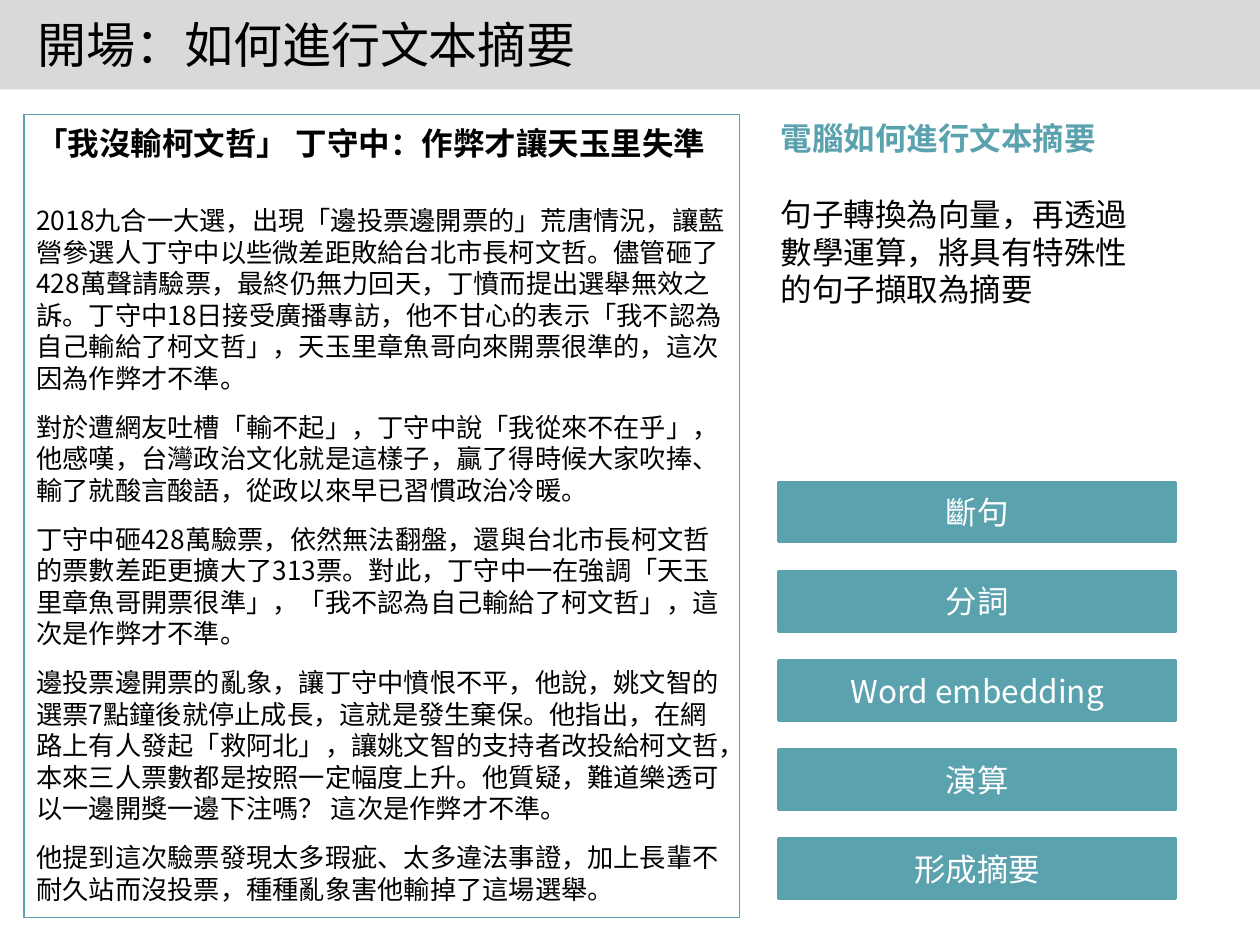
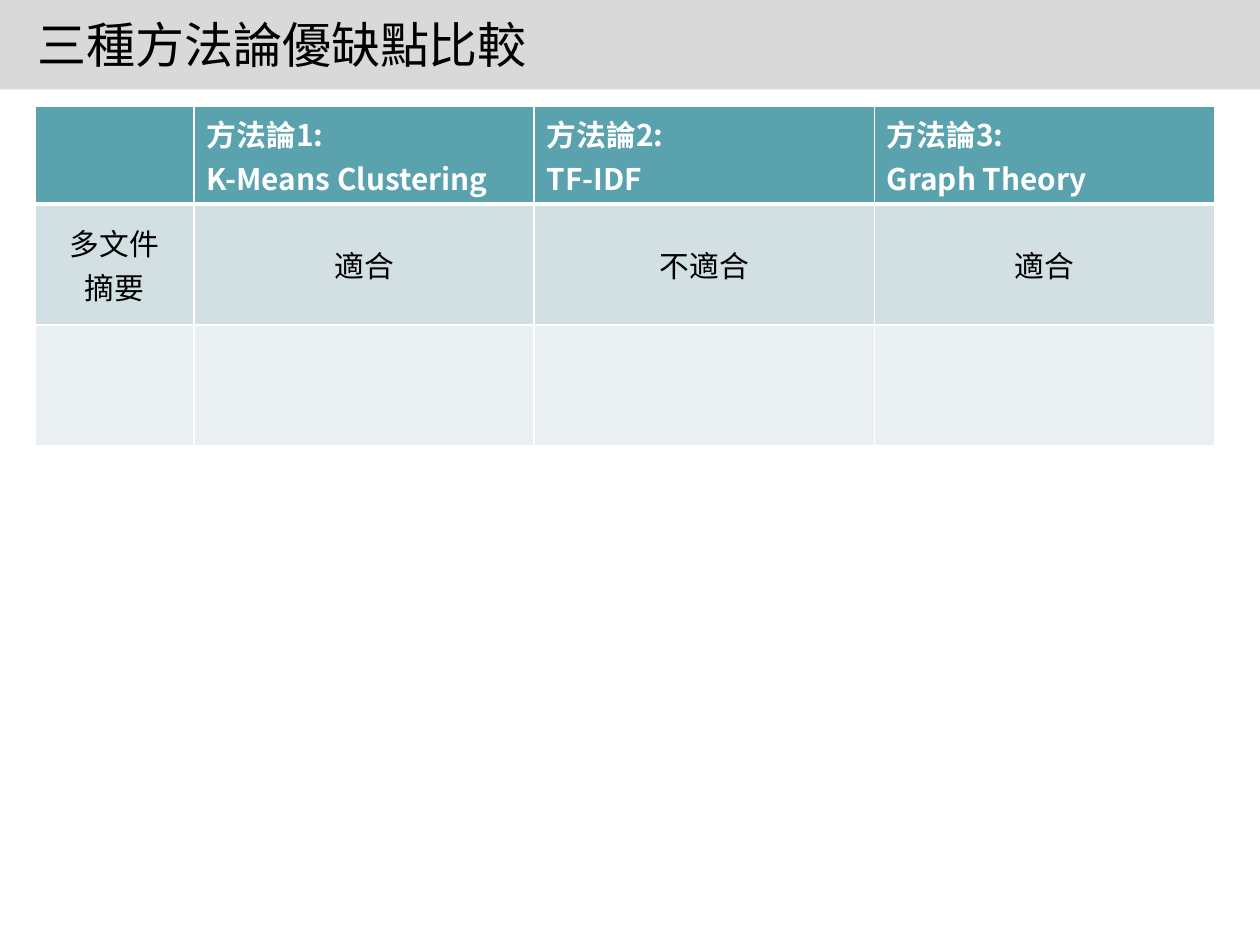
from lxml import etree
from pptx import Presentation
from pptx.dml.color import RGBColor
from pptx.enum import shapes, text
from pptx.oxml import ns
from pptx.util import Inches, Pt

FONT = "Noto Sans CJK SC"
TEAL = RGBColor(0x5A, 0xA2, 0xAE)
BAND_GRAY = RGBColor(0xD9, 0xD9, 0xD9)
ROW_DARK = RGBColor(0xD2, 0xE0, 0xE3)
ROW_LIGHT = RGBColor(0xEA, 0xF0, 0xF2)
BLACK = RGBColor(0, 0, 0)
WHITE = RGBColor(0xFF, 0xFF, 0xFF)

HEADLINE = "「我沒輸柯文哲」 丁守中：作弊才讓天玉里失準"
ARTICLE = [
    "2018九合一大選，出現「邊投票邊開票的」荒唐情況，讓藍營參選人丁守中以些微差距敗給台北市長柯文哲。"
    "儘管砸了428萬聲請驗票，最終仍無力回天，丁憤而提出選舉無效之訴。丁守中18日接受廣播專訪，"
    "他不甘心的表示「我不認為自己輸給了柯文哲」，天玉里章魚哥向來開票很準的，這次因為作弊才不準。",
    "對於遭網友吐槽「輸不起」，丁守中說「我從來不在乎」，他感嘆，台灣政治文化就是這樣子，"
    "贏了得時候大家吹捧、輸了就酸言酸語，從政以來早已習慣政治冷暖。",
    "丁守中砸428萬驗票，依然無法翻盤，還與台北市長柯文哲的票數差距更擴大了313票。"
    "對此，丁守中一在強調「天玉里章魚哥開票很準」，「我不認為自己輸給了柯文哲」，這次是作弊才不準。",
    "邊投票邊開票的亂象，讓丁守中憤恨不平，他說，姚文智的選票7點鐘後就停止成長，這就是發生棄保。"
    "他指出，在網路上有人發起「救阿北」，讓姚文智的支持者改投給柯文哲，本來三人票數都是按照一定幅度上升。"
    "他質疑，難道樂透可以一邊開獎一邊下注嗎？ 這次是作弊才不準。",
    "他提到這次驗票發現太多瑕疵、太多違法事證，加上長輩不耐久站而沒投票，種種亂象害他輸掉了這場選舉。",
]
STEPS = ["斷句", "分詞", "Word embedding", "演算", "形成摘要"]
COMPARISON = [
    ["", "方法論1:\nK-Means Clustering", "方法論2:\nTF-IDF", "方法論3:\nGraph Theory"],
    ["多文件\n摘要", "適合", "不適合", "適合"],
    ["", "", "", ""],
]


def write(paragraph, words, size, color, bold=False, align=None, before=0, line=None):
    """Add one styled run to a paragraph and set the paragraph's spacing."""
    paragraph.alignment = align
    paragraph.space_before = Pt(before)
    if line:
        paragraph.line_spacing = Pt(line)
    run = paragraph.add_run()
    run.text = words
    font = run.font
    font.name, font.size, font.bold = FONT, Pt(size), bold
    font.color.rgb = color
    etree.SubElement(run._r.rPr, ns.qn("a:ea"), typeface=FONT)


def add_box(slide, left, top, width, height, fill=None, line=None, weight=0.75):
    """Add a flat rectangle and return it."""
    box = slide.shapes.add_shape(shapes.MSO_SHAPE.RECTANGLE, Inches(left), Inches(top),
                                 Inches(width), Inches(height))
    box.shadow.inherit = False
    if fill is None:
        box.fill.background()
    else:
        box.fill.solid()
        box.fill.fore_color.rgb = fill
    if line is None:
        box.line.fill.background()
    else:
        box.line.color.rgb = line
        box.line.width = Pt(weight)
    return box


def add_text_frame(slide, left, top, width, height):
    """Add a wrapping text box and return its frame."""
    frame = slide.shapes.add_textbox(Inches(left), Inches(top), Inches(width),
                                     Inches(height)).text_frame
    frame.word_wrap = True
    return frame


def add_titled_slide(presentation, title):
    """Add a blank slide with the gray band and its title."""
    slide = presentation.slides.add_slide(presentation.slide_layouts[6])
    add_box(slide, 0, 0, 10, 0.71, fill=BAND_GRAY)
    frame = add_text_frame(slide, 0.2, 0.12, 9, 0.46)
    frame.vertical_anchor = text.MSO_ANCHOR.MIDDLE
    write(frame.paragraphs[0], title, 28, BLACK)
    return slide


def add_article(slide, left, top, width, height):
    """Place the outlined news article with its headline."""
    frame = add_box(slide, left, top, width, height, line=TEAL).text_frame
    frame.word_wrap = True
    frame.vertical_anchor = text.MSO_ANCHOR.TOP
    frame.margin_top = Inches(0.08)
    left_align = text.PP_ALIGN.LEFT
    write(frame.paragraphs[0], HEADLINE, 18, BLACK, True, left_align, line=21.4)
    for index, words in enumerate(ARTICLE):
        write(frame.add_paragraph(), words, 15, BLACK, align=left_align,
              before=10 if index else 24.3, line=18)


def add_explanation(slide, left, top, width, height):
    """Place the heading and the short explanation."""
    frame = add_text_frame(slide, left, top, width, height)
    frame.margin_top = Inches(0.08)
    write(frame.paragraphs[0], "電腦如何進行文本摘要", 18, TEAL, True, line=21.4)
    write(frame.add_paragraph(), "句子轉換為向量，再透過數學運算，將具有特殊性的句子擷取為摘要",
          18, BLACK, before=22, line=21.4)


def add_steps(slide, left, top, width, height):
    """Stack the step bars evenly inside the given box."""
    bar_height = 0.47
    pitch = (height - bar_height) / (len(STEPS) - 1)
    for index, step in enumerate(STEPS):
        bar = add_box(slide, left, top + index * pitch, width, bar_height, TEAL, TEAL, 2)
        frame = bar.text_frame
        frame.vertical_anchor = text.MSO_ANCHOR.MIDDLE
        write(frame.paragraphs[0], step, 18, WHITE, align=text.PP_ALIGN.CENTER)


def set_borders(cell, top, bottom):
    """Draw white borders around a cell, with given top and bottom weights."""
    properties = cell._tc.get_or_add_tcPr()
    for side, weight in {"L": 1, "R": 1, "T": top, "B": bottom}.items():
        line = etree.SubElement(properties, ns.qn(f"a:ln{side}"), w=str(Pt(weight)))
        fill = etree.SubElement(line, ns.qn("a:solidFill"))
        etree.SubElement(fill, ns.qn("a:srgbClr"), val=str(WHITE))


def add_comparison(slide, left, top, width, label_width):
    """Place the comparison table of the three methods."""
    heights = [0.78, 0.96, 0.96]
    fills = [TEAL, ROW_DARK, ROW_LIGHT]
    column_count = len(COMPARISON[0])
    table = slide.shapes.add_table(len(COMPARISON), column_count, Inches(left), Inches(top),
                                   Inches(width), Inches(sum(heights))).table
    method_width = (width - label_width) / (column_count - 1)
    for index, column in enumerate(table.columns):
        column.width = Inches(method_width if index else label_width)
    for row_index, row in enumerate(COMPARISON):
        table.rows[row_index].height = Inches(heights[row_index])
        header = row_index == 0
        for column_index, words in enumerate(row):
            cell = table.cell(row_index, column_index)
            set_borders(cell, 3 if row_index == 1 else 1, 3 if header else 1)
            cell.fill.solid()
            cell.fill.fore_color.rgb = fills[row_index]
            if not header:
                cell.vertical_anchor = text.MSO_ANCHOR.MIDDLE
            for index, line in enumerate(words.split("\n") if words else []):
                frame = cell.text_frame
                paragraph = frame.add_paragraph() if index else frame.paragraphs[0]
                write(paragraph, line, 17, WHITE if header else BLACK, header,
                      None if header else text.PP_ALIGN.CENTER)


def main():
    """Build both slides and save them."""
    presentation = Presentation()
    presentation.slide_width, presentation.slide_height = Inches(10), Inches(7.5)
    opening = add_titled_slide(presentation, "開場：如何進行文本摘要")
    add_article(opening, 0.19, 0.91, 5.68, 6.37)
    add_explanation(opening, 6.1, 0.87, 3.07, 1.62)
    add_steps(opening, 6.18, 3.83, 3.15, 3.3)
    methods = add_titled_slide(presentation, "三種方法論優缺點比較")
    add_comparison(methods, 0.28, 0.84, 9.36, 1.26)
    presentation.save("out.pptx")


if __name__ == "__main__":
    main()
